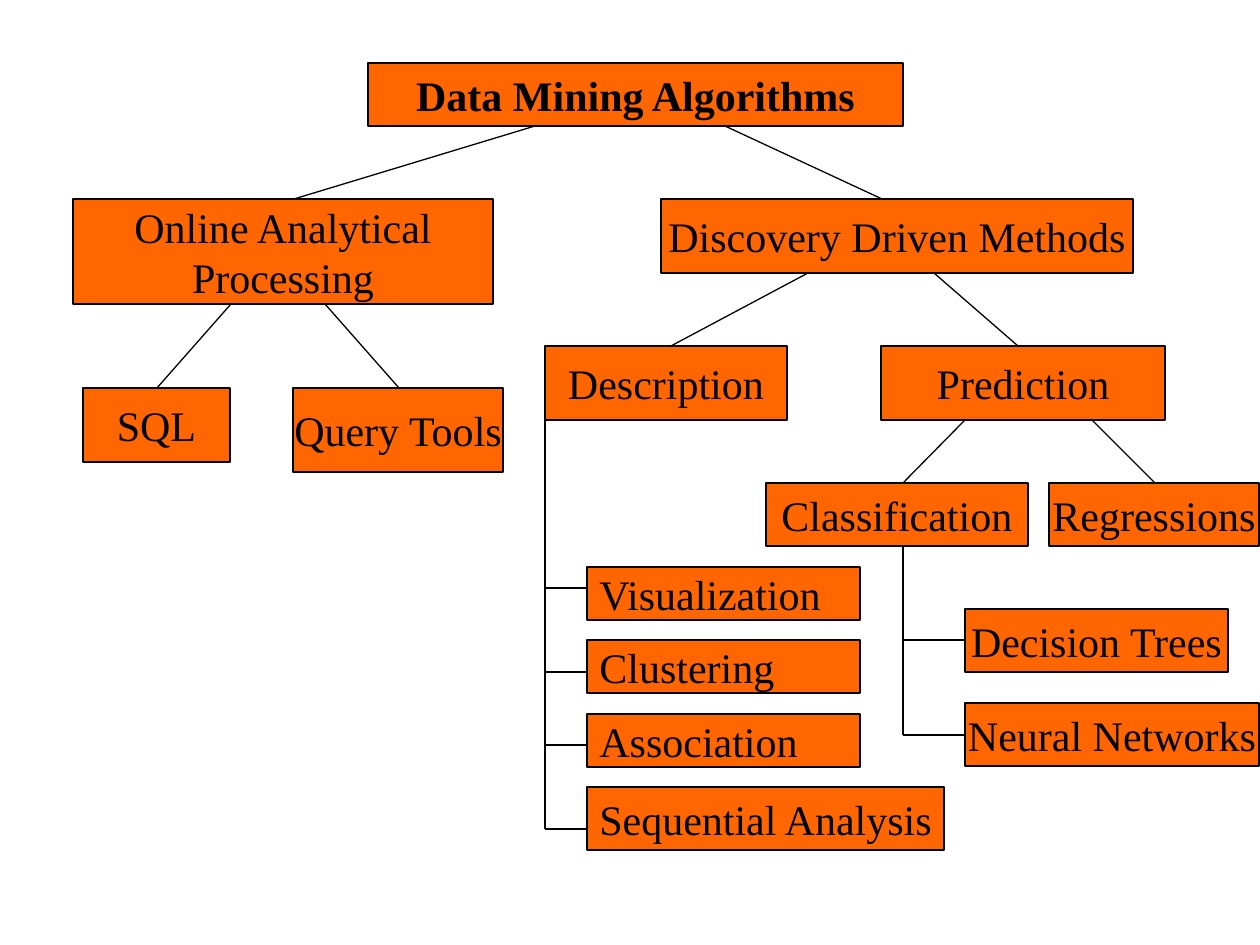
from lxml.etree import SubElement
from pptx import Presentation
from pptx.dml.color import RGBColor
from pptx.enum.shapes import MSO_CONNECTOR, MSO_SHAPE
from pptx.enum.text import MSO_ANCHOR, MSO_AUTO_SIZE, PP_ALIGN
from pptx.oxml.ns import qn
from pptx.util import Pt

PX = 914400 / 126
ORANGE = RGBColor(0xFF, 0x66, 0x00)
BLACK = RGBColor(0x00, 0x00, 0x00)


def px(*lengths):
    """Turn pixel lengths into EMU."""
    return [round(n * PX) for n in lengths]


def write_text(sp, text, align=PP_ALIGN.CENTER, bold=False):
    tf = sp.text_frame
    tf.word_wrap = False
    tf.auto_size = MSO_AUTO_SIZE.NONE
    tf.vertical_anchor = MSO_ANCHOR.MIDDLE
    tf.text = text
    for p in tf.paragraphs:
        p.alignment = align
        p.font.name = "Times New Roman"
        p.font.size = Pt(24)
        p.font.bold = bold
        p.font.color.rgb = BLACK


prs = Presentation()
prs.slide_width, prs.slide_height = px(1260, 945)
s = prs.slides.add_slide(prs.slide_layouts[5])

# Title
title = s.shapes.title
title.left, title.top, title.width, title.height = px(368, 63, 535, 63)
write_text(title, "Data Mining Algorithms", bold=True)
boxes = [title]

# Branches of the tree: text, left, top, width, height
branches = [
    ("Online Analytical\nProcessing", 73, 199, 420, 105),
    ("Discovery Driven Methods", 661, 199, 472, 74),
    ("SQL", 83, 388, 147, 74),
    ("Query Tools", 293, 388, 210, 84),
    ("Description", 545, 346, 242, 74),
    ("Prediction", 881, 346, 284, 74),
    ("Classification", 766, 483, 262, 63),
    ("Regressions", 1049, 483, 210, 63),
    ("Decision Trees", 965, 609, 263, 63),
    ("Neural Networks", 965, 703, 294, 63),
]
for text, *place in branches:
    sp = s.shapes.add_shape(MSO_SHAPE.RECTANGLE, *px(*place))
    write_text(sp, text)
    boxes.append(sp)

# Description methods, left-aligned in one column
methods = [
    ("Visualization", 567, 273, 53),
    ("Clustering", 640, 273, 53),
    ("Association", 714, 273, 53),
    ("Sequential Analysis", 787, 357, 63),
]
for text, top, width, height in methods:
    sp = s.shapes.add_shape(MSO_SHAPE.RECTANGLE, *px(587, top, width, height))
    write_text(sp, text, align=PP_ALIGN.LEFT)
    boxes.append(sp)

for sp in boxes:
    sp.shadow.inherit = False
    sp.fill.solid()
    sp.fill.fore_color.rgb = ORANGE
    sp.line.color.rgb = BLACK
    sp.line.width = Pt(0.75)

# Links from parent to child: x1, y1, x2, y2
links = [
    (535, 126, 294, 199), (725, 126, 882, 199),
    (231, 304, 157, 388), (325, 304, 399, 388),
    (808, 273, 671, 346), (934, 273, 1018, 346),
    (965, 420, 903, 483), (1092, 420, 1155, 483),
]
# Trunks with a rung to each child: x, top, child left, rung heights
trunks = [
    (903, 546, 965, (640, 735)),
    (545, 420, 587, (588, 672, 745, 829)),
]
for x, top, child_left, rungs in trunks:
    links.append((x, top, x, rungs[-1]))
    links += [(x, y, child_left, y) for y in rungs]

for ends in links:
    link = s.shapes.add_connector(MSO_CONNECTOR.STRAIGHT, *px(*ends))
    link.line.color.rgb = BLACK
    link.line.width = Pt(0.75)
    SubElement(link._element.spPr, qn("a:effectLst"))

prs.save("out.pptx")
